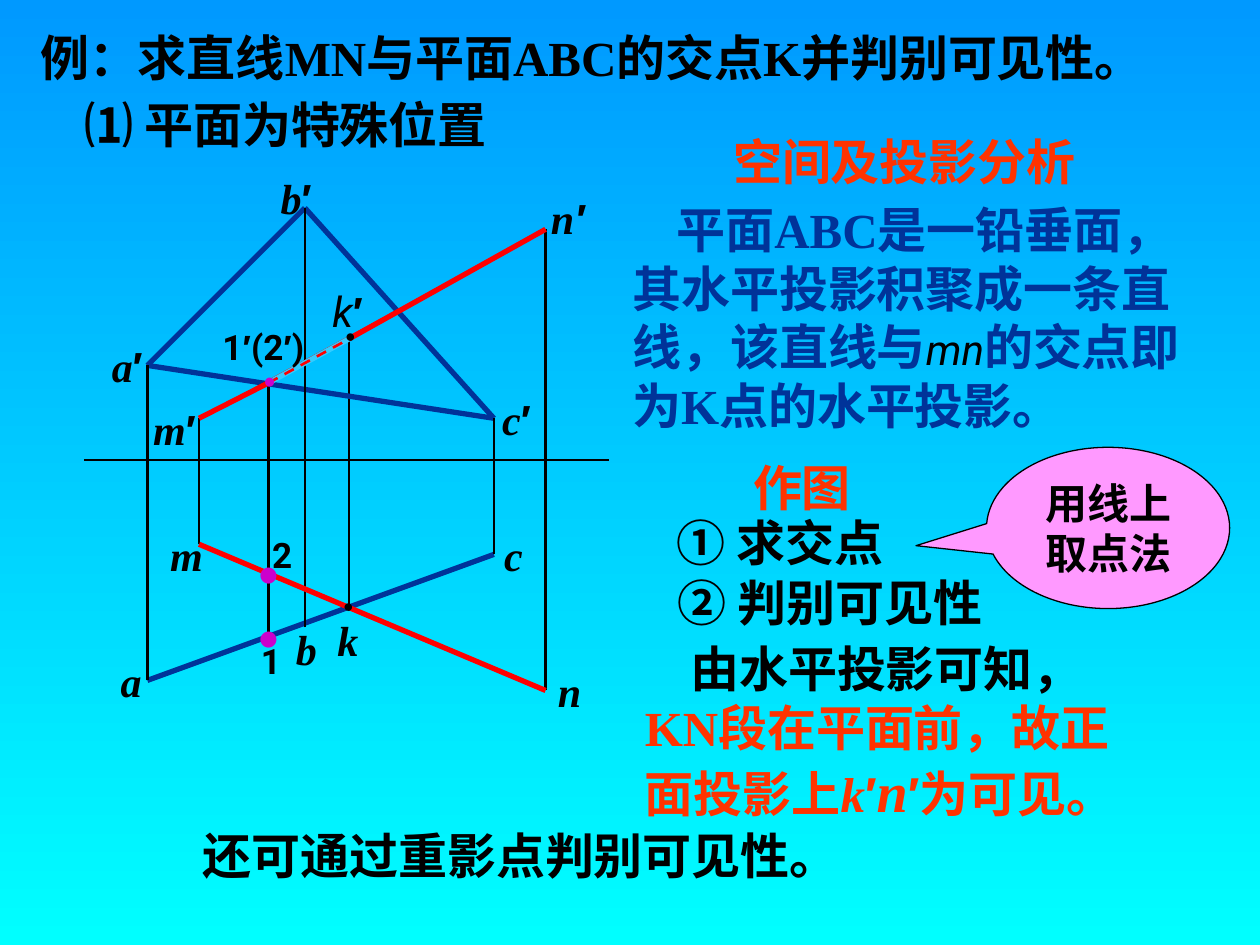
from lxml import etree
from pptx import Presentation
from pptx.dml.color import RGBColor
from pptx.enum.dml import MSO_LINE
from pptx.enum.shapes import MSO_CONNECTOR, MSO_SHAPE
from pptx.enum.text import MSO_ANCHOR, MSO_AUTO_SIZE, PP_ALIGN
from pptx.oxml.ns import qn
from pptx.util import Inches, Pt

LEFT, CENTER = PP_ALIGN.LEFT, PP_ALIGN.CENTER
MIDDLE, FIT = MSO_ANCHOR.MIDDLE, MSO_AUTO_SIZE.SHAPE_TO_FIT_TEXT
STRAIGHT, DASH = MSO_CONNECTOR.STRAIGHT, MSO_LINE.DASH
CALLOUT = MSO_SHAPE.OVAL_CALLOUT

BLACK = RGBColor(0x00, 0x00, 0x00)
NAVY = RGBColor(0x00, 0x33, 0x99)
RED = RGBColor(0xFF, 0x00, 0x00)
ORANGE = RGBColor(0xFF, 0x33, 0x00)
PURPLE = RGBColor(0xCC, 0x00, 0xCC)
PINK = RGBColor(0xFF, 0x99, 0xFF)
SKY = RGBColor(0x33, 0xCC, 0xFF)
SKY_TOP = RGBColor(0x00, 0x99, 0xFF)
SKY_BOTTOM = RGBColor(0x00, 0xFF, 0xFF)

SERIF, SANS, PRIME, CHINESE = "Times New Roman", "Roboto", "Arial", "Noto Sans CJK SC"


def run(text, size=28, color=BLACK, name=SERIF, bold=True, italic=False):
    return text, dict(size=Pt(size), color=color, name=name, bold=bold, italic=italic)


# Box (left, top, width, height), wraps, alignment, first-line indent, runs
TEXTS = [
    ((0.22, 0.17, 9.52, 0.57), False, LEFT, 0,
     [run("例：求直线MN与平面ABC的交点K并判别可见性。")]),
    ((0.57, 0.7, 3.5, 0.57), False, LEFT, 0, [run("⑴ 平面为特殊位置")]),
    ((5.72, 0.99, 2.92, 0.57), False, LEFT, 0, [run("空间及投影分析", color=ORANGE)]),
    ((4.92, 1.53, 4.75, 1.97), True, LEFT, 0.35,
     [run("平面ABC是一铅垂面，其水平投影积聚成一条直线，该直线与", color=NAVY),
      run("mn", 24, name=SANS, bold=False, italic=True),
      run("的交点即为K点的水平投影。", color=NAVY)]),
    ((5.84, 3.58, 1.05, 0.57), False, CENTER, 0, [run("作图", color=ORANGE)]),
    ((5.27, 4.02, 1.84, 0.57), False, LEFT, 0, [run("① 求交点")]),
    ((5.28, 4.49, 2.62, 0.57), False, LEFT, 0, [run("② 判别可见性")]),
    ((5.02, 5.02, 4.14, 1.57), True, LEFT, 0.36,
     [run("由水平投影可知，"),
      run("KN段在平面前，故正面投影上", color=ORANGE),
      run("k", color=ORANGE, italic=True), run("′", color=ORANGE, name=PRIME),
      run("n", 32, ORANGE, italic=True), run("′", color=ORANGE, name=PRIME),
      run("为可见。", color=ORANGE)]),
    ((1.51, 6.5, 5.73, 0.57), True, LEFT, 0, [run("还可通过重影点判别可见性。")]),
]
CALLOUT_BOX, CALLOUT_TIP = (7.83, 3.55, 1.93, 1.28), (-0.79, 0.11)

# Points of the drawing; an added 2 marks the frontal projection
POINTS = {
    "a": (1.17, 5.4), "b": (2.42, 4.98), "c": (3.92, 4.4),
    "m": (1.58, 4.32), "n": (4.33, 5.48), "k": (2.77, 4.85), "1": (2.13, 5.09),
    "a2": (1.17, 2.9), "b2": (2.42, 1.65), "c2": (3.92, 3.32),
    "m2": (1.58, 3.32), "n2": (4.33, 1.82), "k2": (2.77, 2.69), "12": (2.13, 3.04),
    "axis start": (0.67, 3.65), "axis end": (4.83, 3.65),
}
# Ends, colour, width, dash; back to front
LINES = [
    *[(name, name + "2", BLACK, 1.5, None) for name in "k1"],
    ("axis start", "axis end", BLACK, 1.5, None),
    *[(start, end, NAVY, 3, None)
      for start, end in (("a2", "c2"), ("a2", "b2"), ("b2", "c2"), ("a", "c"))],
    *[(name, name + "2", BLACK, 1.5, None) for name in "abcmn"],
    ("m", "n", RED, 3, None),
    ("m2", "n2", RED, 0.75, None),
    ("12", "k2", SKY, 3, None),
    ("12", "k2", RED, 1.5, DASH),
    ("m2", "12", RED, 3, None),
    ("k2", "n2", RED, 3, None),
]

# Letter, box left, top and width, whether it carries a prime
LETTERS = [
    ("a", 0.86, 5.15, 0.36, False), ("b", 2.25, 4.9, 0.36, False),
    ("c", 3.9, 4.15, 0.35, False), ("m", 1.25, 4.15, 0.46, False),
    ("n", 4.33, 5.23, 0.38, False), ("k", 2.58, 4.83, 0.36, False),
    ("a", 0.77, 2.65, 0.48, True), ("b", 2.11, 1.32, 0.48, True),
    ("c", 3.87, 3.07, 0.46, True), ("m", 1.1, 3.15, 0.57, True),
    ("n", 4.26, 1.48, 0.49, True), ("k", 2.51, 2.22, 0.5, True),
]
NUMBERS = [
    ((1.45, 2.53, 1.28, 0.44), True, ["1", "′", "(2", "′", ")"]),
    ((2.06, 4.18, 0.36, 0.44), False, ["2"]),
    ((1.97, 5.02, 0.36, 0.44), False, ["1"]),
]
DOTS = [
    ((1.87, 2.53, 1.82, 0.27), True, run("●", 10)),
    ((2.22, 4.67, 1.09, 0.27), True, run("●", 10)),
    ((1.96, 4.4, 0.34, 0.3), False, run("●", 12, PURPLE, SANS, False)),
    ((1.96, 4.91, 0.34, 0.3), False, run("●", 12, PURPLE, SANS, False)),
    ((1.99, 2.87, 0.3, 0.3), False, run("●", 12, PURPLE, bold=False)),
]


def write(shape, wraps, alignment, indent, runs):
    frame = shape.text_frame
    for key, value in dict(word_wrap=wraps, vertical_anchor=MIDDLE, auto_size=FIT).items():
        setattr(frame, key, value)
    paragraph = frame.paragraphs[0]
    paragraph.alignment = alignment
    if indent:
        paragraph._p.get_or_add_pPr().set("indent", str(Inches(indent)))
    for text, style in runs:
        text_run = paragraph.add_run()
        text_run.text = text
        for key, value in style.items():
            if key == "color":
                text_run.font.color.rgb = value
            else:
                setattr(text_run.font, key, value)
        east_asian = CHINESE if max(text) >= "一" else style["name"]
        etree.SubElement(text_run._r.get_or_add_rPr(), qn("a:ea"), typeface=east_asian)


def add_text(slide, box, wraps, alignment, indent, runs):
    shape = slide.shapes.add_textbox(*map(Inches, box))
    write(shape, wraps, alignment, indent, runs)


def add_line(slide, start, end, color, width, dash):
    ends = map(Inches, POINTS[start] + POINTS[end])
    connector = slide.shapes.add_connector(STRAIGHT, *ends)
    connector.line.color.rgb = color
    connector.line.width = Pt(width)
    if dash:
        connector.line.dash_style = dash
    etree.SubElement(connector._element.spPr, qn("a:effectLst"))


def add_callout(slide):
    callout = slide.shapes.add_shape(CALLOUT, *map(Inches, CALLOUT_BOX))
    callout.shadow.inherit = False
    callout.fill.solid()
    callout.fill.fore_color.rgb = PINK
    callout.line.color.rgb = BLACK
    callout.line.width = Pt(0.75)
    for index, value in enumerate(CALLOUT_TIP):
        callout.adjustments[index] = value
    write(callout, True, CENTER, 0, [run("用线上取点法", 24)])


def letter_runs(letter, primed):
    if not primed:
        return [run(letter, 24, italic=True)]
    plain = letter == "k"
    return [run(letter, 24, name=SANS if plain else SERIF, bold=not plain, italic=True),
            run("′", 24, name=PRIME, italic=letter == "n")]


def main():
    presentation = Presentation()
    presentation.slide_width, presentation.slide_height = Inches(10), Inches(7.5)
    slide = presentation.slides.add_slide(presentation.slide_layouts[6])
    fill = slide.background.fill
    fill.gradient()
    fill.gradient_angle = 270
    for stop, color, position in zip(fill.gradient_stops, (SKY_TOP, SKY_BOTTOM), (0, 1)):
        stop.color.rgb = color
        stop.position = position

    for text in TEXTS:
        add_text(slide, *text)
    for line in LINES:
        add_line(slide, *line)
    add_callout(slide)
    for letter, left, top, width, primed in LETTERS:
        add_text(slide, (left, top, width, 0.5), False, CENTER, 0, letter_runs(letter, primed))
    for box, wraps, parts in NUMBERS:
        runs = [run(part, 20, name=PRIME if part == "′" else SANS) for part in parts]
        add_text(slide, box, wraps, CENTER, 0, runs)
    for box, wraps, dot in DOTS:
        add_text(slide, box, wraps, CENTER, 0, [dot])
    presentation.save("out.pptx")


if __name__ == "__main__":
    main()
